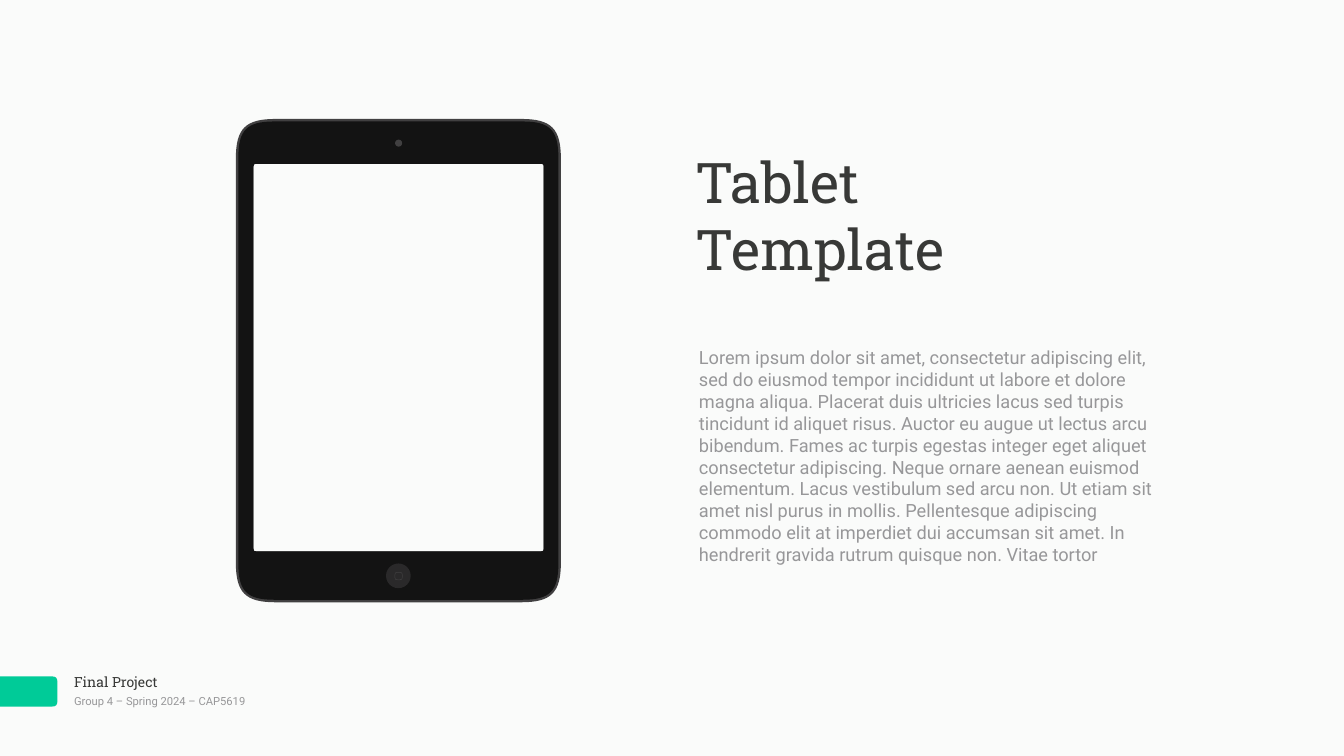
from lxml import etree
from pptx import Presentation
from pptx.dml.color import RGBColor
from pptx.enum import shapes, text
from pptx.oxml import ns
from pptx.util import Inches, Pt

COLORS = {
    "background": "FAFBFA",
    "heading": "383937",
    "muted": "979799",
    "accent": "00CB98",
    "edge": "414041",
    "body": "131313",
    "button": "2A292A",
}
SERIF, SANS = "Roboto Slab", "Roboto"
CURVE = 0.24
PLACEHOLDER = (
    "Lorem ipsum dolor sit amet, consectetur adipiscing elit, sed do eiusmod tempor "
    "incididunt ut labore et dolore magna aliqua. Placerat duis ultricies lacus sed "
    "turpis tincidunt id aliquet risus. Auctor eu augue ut lectus arcu bibendum. Fames "
    "ac turpis egestas integer eget aliquet consectetur adipiscing. Neque ornare aenean "
    "euismod elementum. Lacus vestibulum sed arcu non. Ut etiam sit amet nisl purus in "
    "mollis. Pellentesque adipiscing commodo elit at imperdiet dui accumsan sit amet. In "
    "hendrerit gravida rutrum quisque non. Vitae tortor"
)


def rgb(name):
    return RGBColor.from_string(COLORS[name])


def paint(shape, color):
    shape.shadow.inherit = False
    shape.fill.solid()
    shape.fill.fore_color.rgb = rgb(color)
    shape.line.fill.background()


def rounded_contour(left, top, width, height, radius, left_radius=None):
    left_radius = radius if left_radius is None else left_radius
    right, bottom = left + width, top + height
    corners = [
        (right, top, (-radius, 0), (0, radius)),
        (right, bottom, (0, -radius), (-radius, 0)),
        (left, bottom, (left_radius, 0), (0, -left_radius)),
        (left, top, (0, left_radius), (left_radius, 0)),
    ]
    return [
        (Inches(x + dx * share), Inches(y + dy * share))
        for x, y, entry, leave in corners
        for (dx, dy), share in ((entry, 1), (entry, CURVE), (leave, CURVE), (leave, 1))
    ]


def bend_corners(outline):
    lines = list(outline.iter(ns.qn("a:lnTo")))
    for contour_start in range(0, len(lines), 15):
        for start in range(contour_start, contour_start + 15, 4):
            corner = lines[start:start + 3]
            curve = etree.Element(ns.qn("a:cubicBezTo"))
            corner[0].addprevious(curve)
            for line in corner:
                curve.append(line[0])
                line.getparent().remove(line)


def add_outline(slide, color, *contours):
    builder = slide.shapes.build_freeform(*contours[0][0])
    for index, contour in enumerate(contours):
        if index:
            builder.move_to(*contour[0])
        builder.add_line_segments(contour[1:], close=True)
    outline = builder.convert_to_shape()
    bend_corners(outline.element)
    paint(outline, color)


def add_disc(slide, left, top, diameter, color):
    disc = slide.shapes.add_shape(
        shapes.MSO_SHAPE.OVAL, *map(Inches, (left, top, diameter, diameter)))
    paint(disc, color)


def add_text(slide, wording, box, size, font, color, anchor=text.MSO_ANCHOR.TOP):
    frame = slide.shapes.add_textbox(*map(Inches, box)).text_frame
    frame.word_wrap = True
    frame.auto_size = text.MSO_AUTO_SIZE.SHAPE_TO_FIT_TEXT
    frame.vertical_anchor = anchor
    frame.margin_left = frame.margin_right = Inches(0.06)
    frame.margin_top = frame.margin_bottom = Inches(0.06)
    frame.text = wording
    run_font = frame.paragraphs[0].runs[0].font
    run_font.size = Pt(size)
    run_font.name = font
    run_font.color.rgb = rgb(color)


def add_footer(slide):
    add_text(slide, "Final Project", (1.41, 13.3, 3.19, 0.45), 20, SERIF, "heading")
    add_text(slide, "Group 4 – Spring 2024 – CAP5619", (1.41, 13.72, 4.72, 0.38),
             16, SANS, "muted", text.MSO_ANCHOR.MIDDLE)
    add_outline(slide, "accent",
                rounded_contour(-0.1, 13.42, 1.24, 0.6, 0.12, left_radius=0))


def add_tablet(slide):
    screen = rounded_contour(5.03, 3.25, 5.76, 7.69, 0.05)
    add_outline(slide, "edge", rounded_contour(4.68, 2.36, 6.45, 9.59, 0.79), screen)
    add_outline(slide, "body", rounded_contour(4.73, 2.41, 6.35, 9.49, 0.71), screen)
    add_disc(slide, 7.84, 2.77, 0.14, "edge")
    add_disc(slide, 7.66, 11.18, 0.49, "button")
    add_outline(slide, "edge",
                rounded_contour(7.83, 11.35, 0.16, 0.16, 0.06),
                rounded_contour(7.84, 11.36, 0.14, 0.14, 0.05))


def main():
    deck = Presentation()
    deck.slide_width, deck.slide_height = Inches(26.67), Inches(15)
    slide = deck.slides.add_slide(deck.slide_layouts[6])
    slide.background.fill.solid()
    slide.background.fill.fore_color.rgb = rgb("background")
    add_footer(slide)
    add_text(slide, "Tablet Template", (13.74, 2.87, 7.87, 2.8), 80, SERIF, "heading")
    add_text(slide, PLACEHOLDER, (13.81, 6.82, 9.32, 4.49), 26, SANS, "muted")
    add_tablet(slide)
    deck.save("out.pptx")


if __name__ == "__main__":
    main()
